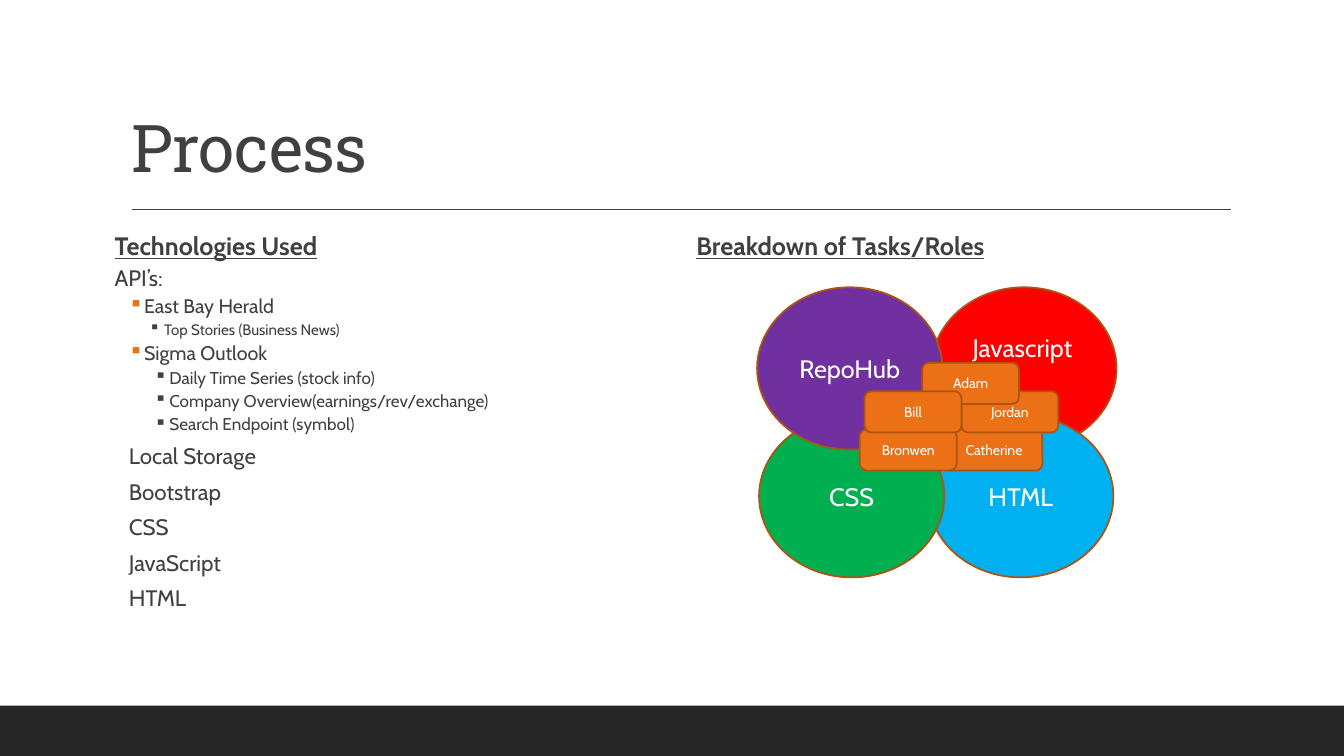
"""Build the Process slide: technologies on the left, overlapping task circles on the right."""
from dataclasses import dataclass
from typing import Optional

from lxml.etree import SubElement
from pptx import Presentation
from pptx.dml.color import RGBColor
from pptx.enum.shapes import MSO_CONNECTOR, MSO_SHAPE
from pptx.enum.text import MSO_ANCHOR, MSO_AUTO_SIZE, PP_ALIGN
from pptx.oxml.ns import qn
from pptx.util import Cm, Pt

DARK = RGBColor(0x40, 0x40, 0x40)
FOOTER = RGBColor(0x26, 0x26, 0x26)
ORANGE = RGBColor(0xEC, 0x70, 0x16)
BROWN = RGBColor(0xAF, 0x53, 0x10)
WHITE = RGBColor(0xFF, 0xFF, 0xFF)
RED = RGBColor(0xFF, 0x00, 0x00)
BLUE = RGBColor(0x00, 0xB0, 0xF0)
GREEN = RGBColor(0x00, 0xB0, 0x50)
PURPLE = RGBColor(0x70, 0x30, 0xA0)

BODY_FONT = "Cabin"
TITLE_FONT = "Roboto Slab"
SLIDE_WIDTH, SLIDE_HEIGHT = 33.87, 19.05
FOOTER_HEIGHT = 1.27
COLUMN_TOP, COLUMN_HEIGHT = 5.77, 10.41
CIRCLE_SIZE = (4.67, 4.09)
CARD_SIZE = (2.44, 1.04)


@dataclass(frozen=True)
class Line:
    """One paragraph of a column, with lengths in centimetres and sizes in points."""
    text: str
    size: float
    margin: float
    indent: float = 0
    bullet_color: Optional[RGBColor] = None
    spacing: Optional[float] = None
    before: float = 0
    heading: bool = False


@dataclass(frozen=True)
class Node:
    """A filled circle or name card, placed in centimetres."""
    text: str
    left: float
    top: float
    fill: RGBColor = ORANGE


def heading(text: str) -> Line:
    """Describe an underlined column heading."""
    return Line(text, 18, 0.25, spacing=0.9, before=12, heading=True)


def source(text: str) -> Line:
    """Describe a first-level bulleted item."""
    return Line(text, 14, 0.99, -0.38, ORANGE)


def detail(text: str, size: float = 12.2, margin: float = 1.63) -> Line:
    """Describe a second-level bulleted item."""
    return Line(text, size, margin, -0.38, DARK)


def tool(text: str) -> Line:
    """Describe an item without a bullet."""
    return Line(text, 16, 0.99, -0.38, spacing=0.9, before=6)


TECHNOLOGIES = [
    heading("Technologies Used"),
    Line("API’s:", 16, 0.25),
    source("East Bay Herald"),
    detail("Top Stories (Business News)", 10.8, 1.5),
    source("Sigma Outlook"),
    detail("Daily Time Series (stock info)"),
    detail("Company Overview(earnings/rev/exchange)"),
    detail("Search Endpoint (symbol)"),
    *map(tool, ["Local Storage", "Bootstrap", "CSS", "JavaScript", "HTML"]),
]
ROLES = [heading("Breakdown of Tasks/Roles")]

CIRCLES = [
    Node("", 23.47, 7.24, RED),
    Node("HTML", 23.39, 10.46, BLUE),
    Node("CSS", 19.13, 10.46, GREEN),
    Node("RepoHub", 19.08, 7.24, PURPLE),
]
CARDS = [
    Node("Catherine", 23.83, 10.82),
    Node("Bronwen", 21.67, 10.82),
    Node("Jordan", 24.23, 9.86),
    Node("Adam", 23.24, 9.14),
    Node("Bill", 21.79, 9.86),
]


def write_text(paragraph, text: str, *, size: float, color: RGBColor = WHITE,
               font: str = BODY_FONT, bold: bool = False, underline: bool = False,
               align=PP_ALIGN.LEFT, tracking: Optional[int] = None) -> None:
    """Add formatted text to a paragraph."""
    paragraph.alignment = align
    run = paragraph.add_run()
    run.text = text
    run.font.name = font
    run.font.size = Pt(size)
    run.font.bold = bold
    run.font.underline = underline
    run.font.color.rgb = color
    if tracking is not None:
        run.font._element.set("spc", str(tracking))


def add_textbox(slide, left: float, top: float, width: float, height: float):
    """Add a wrapping text box and return its text frame."""
    frame = slide.shapes.add_textbox(Cm(left), Cm(top), Cm(width), Cm(height)).text_frame
    frame.word_wrap = True
    return frame


def add_column(slide, left: float, width: float, lines: list[Line]) -> None:
    """Add a text column with indents, spacing and bullets."""
    frame = add_textbox(slide, left, COLUMN_TOP, width, COLUMN_HEIGHT)
    frame.margin_left = frame.margin_right = 0
    for index, line in enumerate(lines):
        paragraph = frame.add_paragraph() if index else frame.paragraphs[0]
        write_text(paragraph, line.text, size=line.size, color=DARK,
                   bold=line.heading, underline=line.heading)
        paragraph.line_spacing = line.spacing
        paragraph.space_before = Pt(line.before)
        paragraph.space_after = Pt(2)
        properties = paragraph._p.get_or_add_pPr()
        properties.set("marL", str(Cm(line.margin)))
        properties.set("indent", str(Cm(line.indent)))
        if line.bullet_color is not None:
            color = SubElement(properties, qn("a:buClr"))
            SubElement(color, qn("a:srgbClr"), val=str(line.bullet_color))
            SubElement(properties, qn("a:buChar"), char="▪")


def add_node(slide, node: Node, kind, size: tuple[float, float], text_size: float) -> None:
    """Add an outlined shape with centred text."""
    shape = slide.shapes.add_shape(kind, Cm(node.left), Cm(node.top), *map(Cm, size))
    shape.shadow.inherit = False
    shape.fill.solid()
    shape.fill.fore_color.rgb = node.fill
    shape.line.color.rgb = BROWN
    shape.line.width = Pt(1.25)
    if node.text:
        shape.text_frame.vertical_anchor = MSO_ANCHOR.MIDDLE
        write_text(shape.text_frame.paragraphs[0], node.text, size=text_size,
                   align=PP_ALIGN.CENTER)


def add_frame(slide) -> None:
    """Add the footer band, the rule and the title."""
    band = slide.shapes.add_shape(MSO_SHAPE.RECTANGLE, 0, Cm(SLIDE_HEIGHT - FOOTER_HEIGHT),
                                  Cm(SLIDE_WIDTH), Cm(FOOTER_HEIGHT))
    band.shadow.inherit = False
    band.fill.solid()
    band.fill.fore_color.rgb = FOOTER
    band.line.fill.background()
    rule = slide.shapes.add_connector(MSO_CONNECTOR.STRAIGHT, Cm(3.33), Cm(5.28),
                                      Cm(31.01), Cm(5.28))
    rule.line.color.rgb = DARK
    rule.line.width = Pt(1)
    SubElement(rule._element.spPr, qn("a:effectLst"))
    title = slide.shapes.title
    title.left, title.top, title.width, title.height = map(Cm, (3.05, 0.79, 27.94, 4.04))
    title.text_frame.auto_size = MSO_AUTO_SIZE.NONE
    title.text_frame.vertical_anchor = MSO_ANCHOR.BOTTOM
    paragraph = title.text_frame.paragraphs[0]
    paragraph.line_spacing = 0.9
    write_text(paragraph, "Process", size=47, color=DARK, font=TITLE_FONT, tracking=-50)


def main() -> None:
    """Build and save the presentation."""
    presentation = Presentation()
    presentation.slide_width, presentation.slide_height = Cm(SLIDE_WIDTH), Cm(SLIDE_HEIGHT)
    slide = presentation.slides.add_slide(presentation.slide_layouts[5])
    add_frame(slide)
    add_column(slide, 2.64, 9.86, TECHNOLOGIES)
    add_column(slide, 17.3, 12.88, ROLES)
    for circle in CIRCLES:
        add_node(slide, circle, MSO_SHAPE.OVAL, CIRCLE_SIZE, 18)
    label = add_textbox(slide, 24.26, 8.26, 3.3, 1.02)
    write_text(label.paragraphs[0], "Javascript", size=18)
    for card in CARDS:
        add_node(slide, card, MSO_SHAPE.ROUNDED_RECTANGLE, CARD_SIZE, 10)
    presentation.save("out.pptx")


if __name__ == "__main__":
    main()
